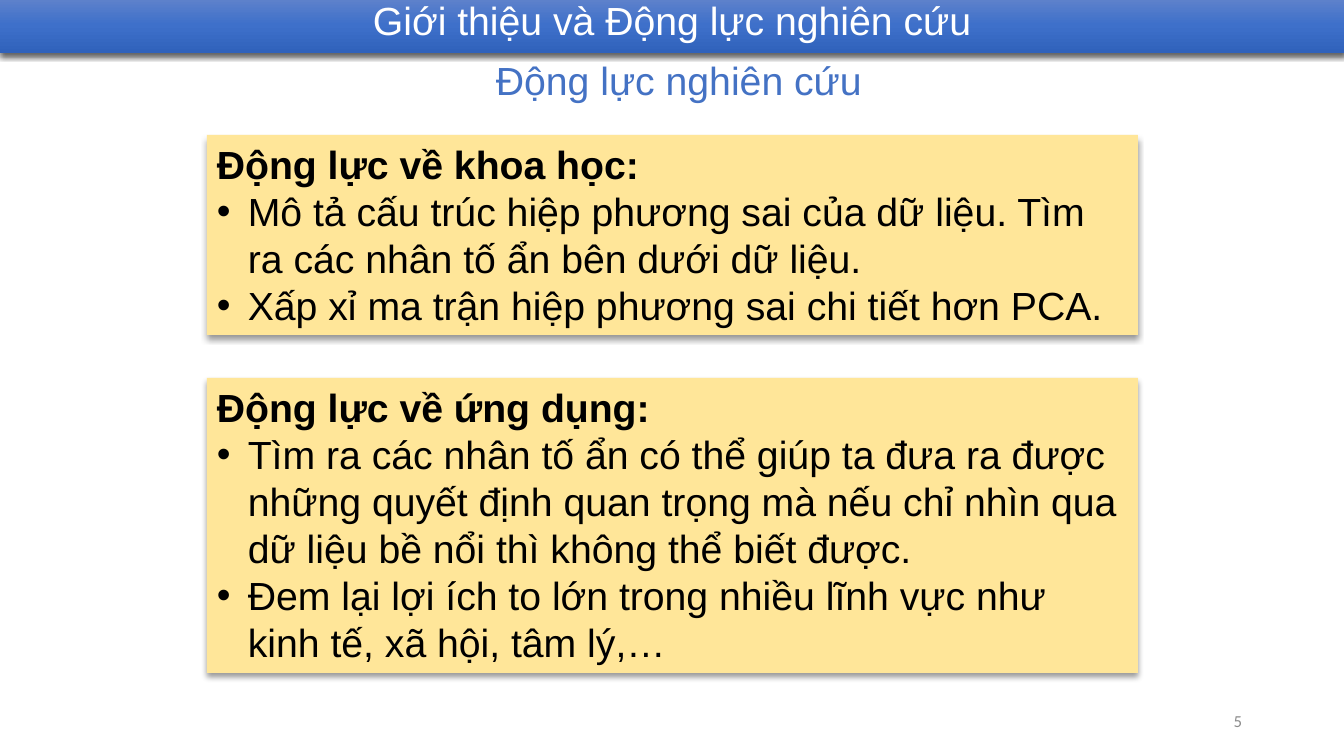
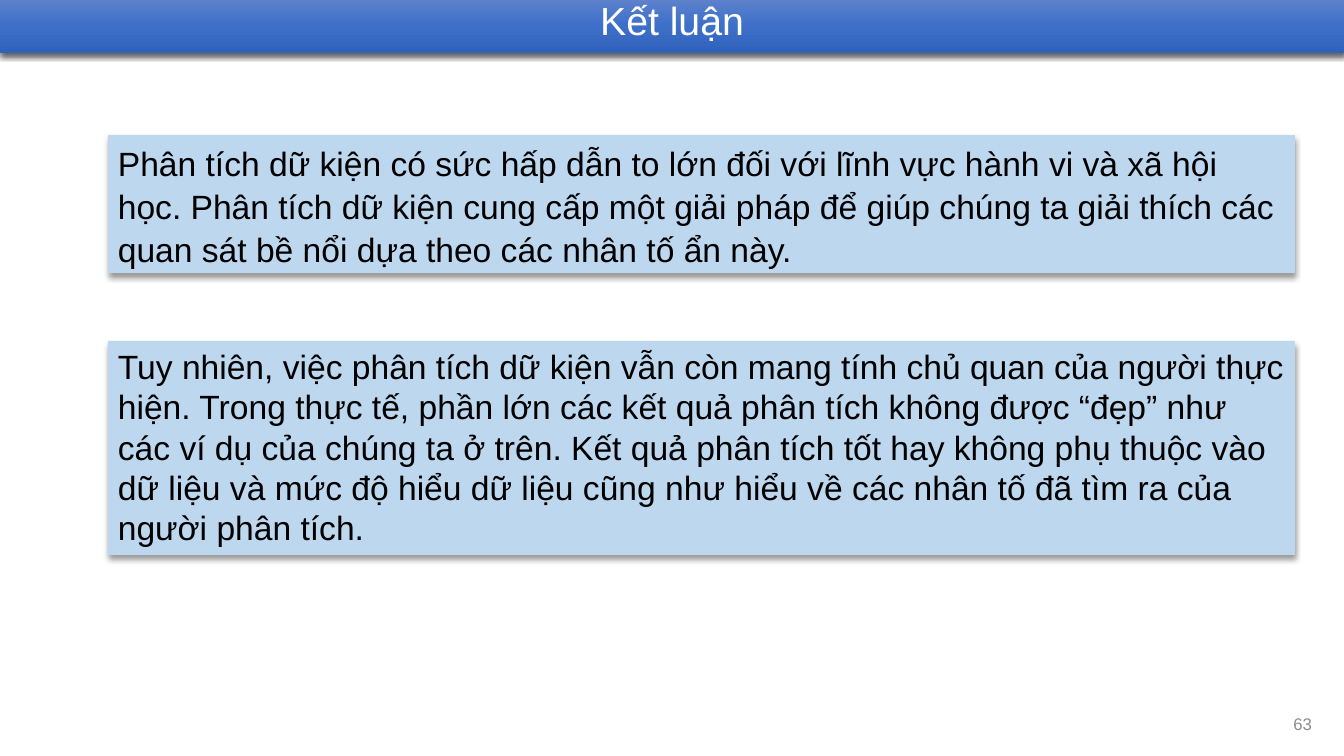
import pptx
import pptx.util
import pptx.dml.color
import pptx.enum.shapes
import pptx.enum.text
import pptx.oxml.ns
import lxml.etree

SLIDE_W, SLIDE_H = 1344, 756
EMU_PER_PX = 12192000 / SLIDE_W

BLACK, WHITE, GREY, BLUE = "000000", "FFFFFF", "8C8C8C", "4472C4"
YELLOW, PALE_BLUE = "FFE699", "BDD7EE"
BAND_STOPS = [(0, "6183CB"), (50, "3E70CA"), (100, "3062BB")]
BAND_BOX = (0, -3, SLIDE_W, 56)
BAND_SHADOW = dict(opacity=63, blur=4.5, distance=1.5)
CARD_SHADOW = dict(opacity=40, blur=4, distance=3)
BULLET_INDENT = 31
ALIGN = pptx.enum.text.PP_ALIGN
ANCHOR = pptx.enum.text.MSO_ANCHOR

SLIDES = [
    {
        "title": "Giới thiệu và Động lực nghiên cứu",
        "subtitle": "Động lực nghiên cứu",
        "cards": {"left": 207, "width": 931, "fill": YELLOW, "size": 28},
        "content": [
            {"top": 135, "height": 200, "heading": "Động lực về khoa học:", "bullets": [
                "Mô tả cấu trúc hiệp phương sai của dữ liệu. Tìm ra các nhân tố ẩn bên dưới dữ liệu.",
                "Xấp xỉ ma trận hiệp phương sai chi tiết hơn PCA.",
            ]},
            {"top": 378, "height": 295, "heading": "Động lực về ứng dụng:", "bullets": [
                "Tìm ra các nhân tố ẩn có thể giúp ta đưa ra được những quyết định quan trọng "
                "mà nếu chỉ nhìn qua dữ liệu bề nổi thì không thể biết được.",
                "Đem lại lợi ích to lớn trong nhiều lĩnh vực như kinh tế, xã hội, tâm lý,…",
            ]},
        ],
        "page": {"number": "5", "box": (950, 701, 302, 40), "font": "Calibri"},
    },
    {
        "title": "Kết luận",
        "cards": {"left": 108, "width": 1187, "fill": PALE_BLUE, "size": 24},
        "content": [
            {"top": 135, "height": 138, "spacing": {"line": 1.07, "after": 8}, "body":
                "Phân tích dữ kiện có sức hấp dẫn to lớn đối với lĩnh vực hành vi và xã hội học. "
                "Phân tích dữ kiện cung cấp một giải pháp để giúp chúng ta giải thích các quan sát "
                "bề nổi dựa theo các nhân tố ẩn này."},
            {"top": 341, "height": 214, "body":
                "Tuy nhiên, việc phân tích dữ kiện vẫn còn mang tính chủ quan của người thực hiện. "
                "Trong thực tế, phần lớn các kết quả phân tích không được “đẹp” như các ví dụ của "
                "chúng ta ở trên. Kết quả phân tích tốt hay không phụ thuộc vào dữ liệu và mức độ "
                "hiểu dữ liệu cũng như hiểu về các nhân tố đã tìm ra của người phân tích."},
        ],
        "page": {"number": "63", "box": (1020, 704, 302, 40), "font": "Arial"},
    },
]


def px(length):
    return pptx.util.Emu(round(length * EMU_PER_PX))


def rgb(colour):
    return pptx.dml.color.RGBColor.from_string(colour)


def child(parent, tag, **attributes):
    element = lxml.etree.SubElement(parent, pptx.oxml.ns.qn(tag))
    for name, value in attributes.items():
        element.set(name, str(value))
    return element


def add_shadow(shape, opacity, blur, distance):
    shape.shadow.inherit = False
    effects = shape._element.spPr.find(pptx.oxml.ns.qn("a:effectLst"))
    shadow = child(effects, "a:outerShdw", blurRad=pptx.util.Pt(blur), dist=pptx.util.Pt(distance),
                   dir=90 * 60000, algn="t", rotWithShape=0)
    child(child(shadow, "a:srgbClr", val=BLACK), "a:alpha", val=opacity * 1000)


def fill_gradient(shape, stops):
    shape.fill.gradient()
    shape.fill.gradient_angle = 270
    stop_list = shape._element.spPr.find(".//" + pptx.oxml.ns.qn("a:gsLst"))
    for old_stop in list(stop_list):
        stop_list.remove(old_stop)
    for position, colour in stops:
        child(child(stop_list, "a:gs", pos=position * 1000), "a:srgbClr", val=colour)


def add_rectangle(slide, box, shadow):
    rectangle = slide.shapes.add_shape(pptx.enum.shapes.MSO_SHAPE.RECTANGLE, *map(px, box))
    rectangle.line.fill.background()
    add_shadow(rectangle, **shadow)
    return rectangle


def prepare_frame(shape, anchor=ANCHOR.TOP, grow=False):
    frame = shape.text_frame
    frame.word_wrap = True
    frame.vertical_anchor = anchor
    if grow:
        frame.auto_size = pptx.enum.text.MSO_AUTO_SIZE.SHAPE_TO_FIT_TEXT
    return frame


def write(paragraph, text, size, colour, font="Arial", bold=False, align=ALIGN.LEFT):
    paragraph.alignment = align
    run = paragraph.add_run()
    run.text = text
    run.font.size = pptx.util.Pt(size)
    run.font.name = font
    run.font.bold = bold
    run.font.color.rgb = rgb(colour)


def add_bullet(paragraph):
    properties = paragraph._p.get_or_add_pPr()
    properties.set("marL", str(px(BULLET_INDENT)))
    properties.set("indent", str(px(-BULLET_INDENT)))
    child(properties, "a:buFont", typeface="Arial")
    child(properties, "a:buChar", char="•")


def add_band(slide, title):
    band = add_rectangle(slide, BAND_BOX, BAND_SHADOW)
    fill_gradient(band, BAND_STOPS)
    paragraph = prepare_frame(band).paragraphs[0]
    paragraph.line_spacing = 0.9
    paragraph.space_before = pptx.util.Pt(10)
    write(paragraph, title, 28, WHITE, align=ALIGN.CENTER)


def add_subtitle(slide, subtitle):
    box = slide.shapes.add_textbox(*map(px, (486, 51, 447, 57)))
    write(prepare_frame(box, grow=True).paragraphs[0], subtitle, 28, BLUE)


def add_card(slide, style, card):
    box = (style["left"], card["top"], style["width"], card["height"])
    rectangle = add_rectangle(slide, box, CARD_SHADOW)
    rectangle.fill.solid()
    rectangle.fill.fore_color.rgb = rgb(style["fill"])
    frame = prepare_frame(rectangle, grow=True)
    first = frame.paragraphs[0]
    if "spacing" in card:
        first.line_spacing = card["spacing"]["line"]
        first.space_after = pptx.util.Pt(card["spacing"]["after"])
    write(first, card.get("heading") or card["body"], style["size"], BLACK, bold="heading" in card)
    for bullet in card.get("bullets", []):
        paragraph = frame.add_paragraph()
        write(paragraph, bullet, style["size"], BLACK)
        add_bullet(paragraph)


def add_page_number(slide, page):
    box = slide.shapes.add_textbox(*map(px, page["box"]))
    frame = prepare_frame(box, ANCHOR.MIDDLE)
    write(frame.paragraphs[0], page["number"], 12, GREY, page["font"], align=ALIGN.RIGHT)


def main():
    deck = pptx.Presentation()
    deck.slide_width, deck.slide_height = px(SLIDE_W), px(SLIDE_H)
    for content in SLIDES:
        slide = deck.slides.add_slide(deck.slide_layouts[6])
        if "subtitle" in content:
            add_subtitle(slide, content["subtitle"])
        for card in content["content"]:
            add_card(slide, content["cards"], card)
        add_band(slide, content["title"])
        add_page_number(slide, content["page"])
    deck.save("out.pptx")


if __name__ == "__main__":
    main()
